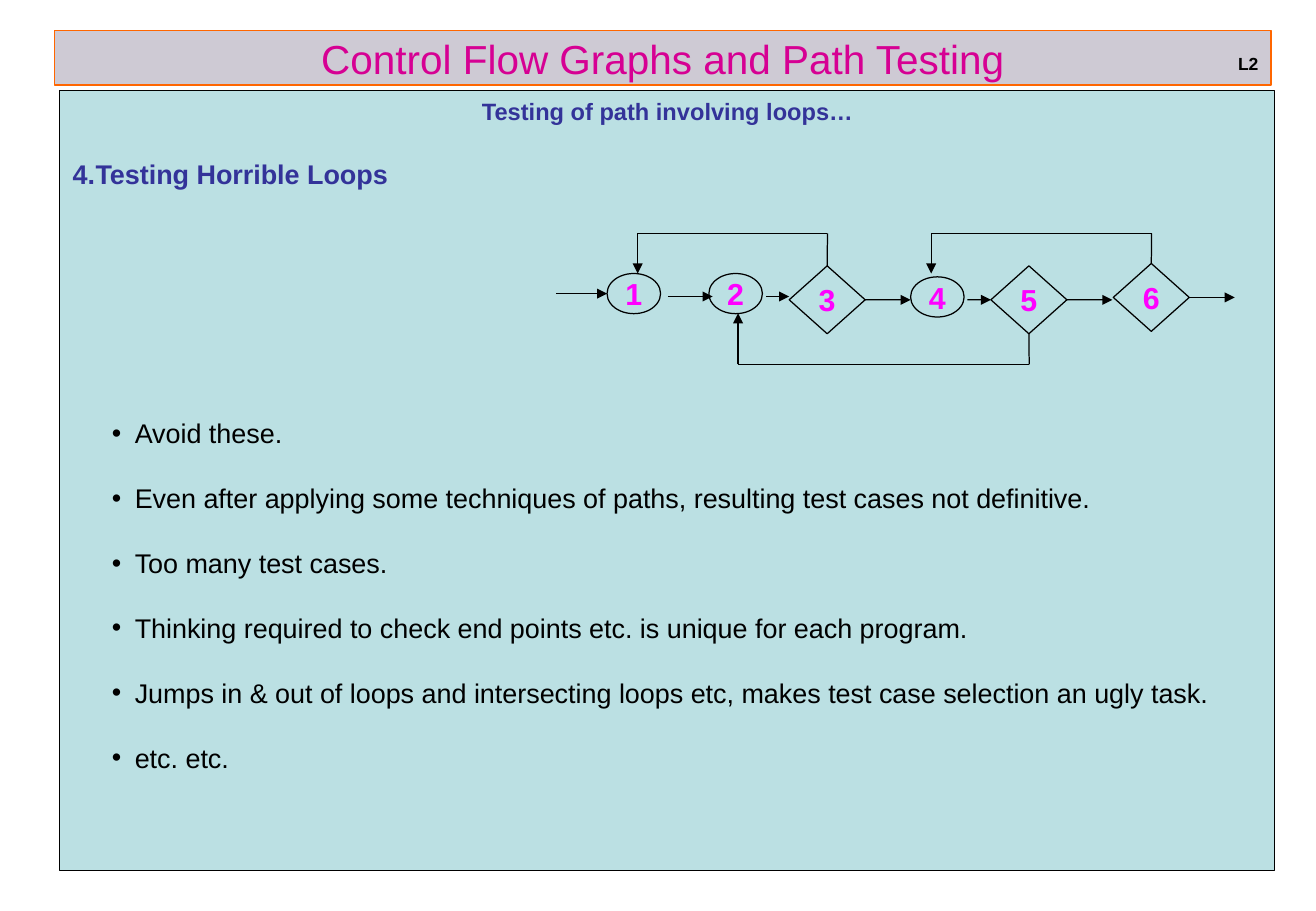
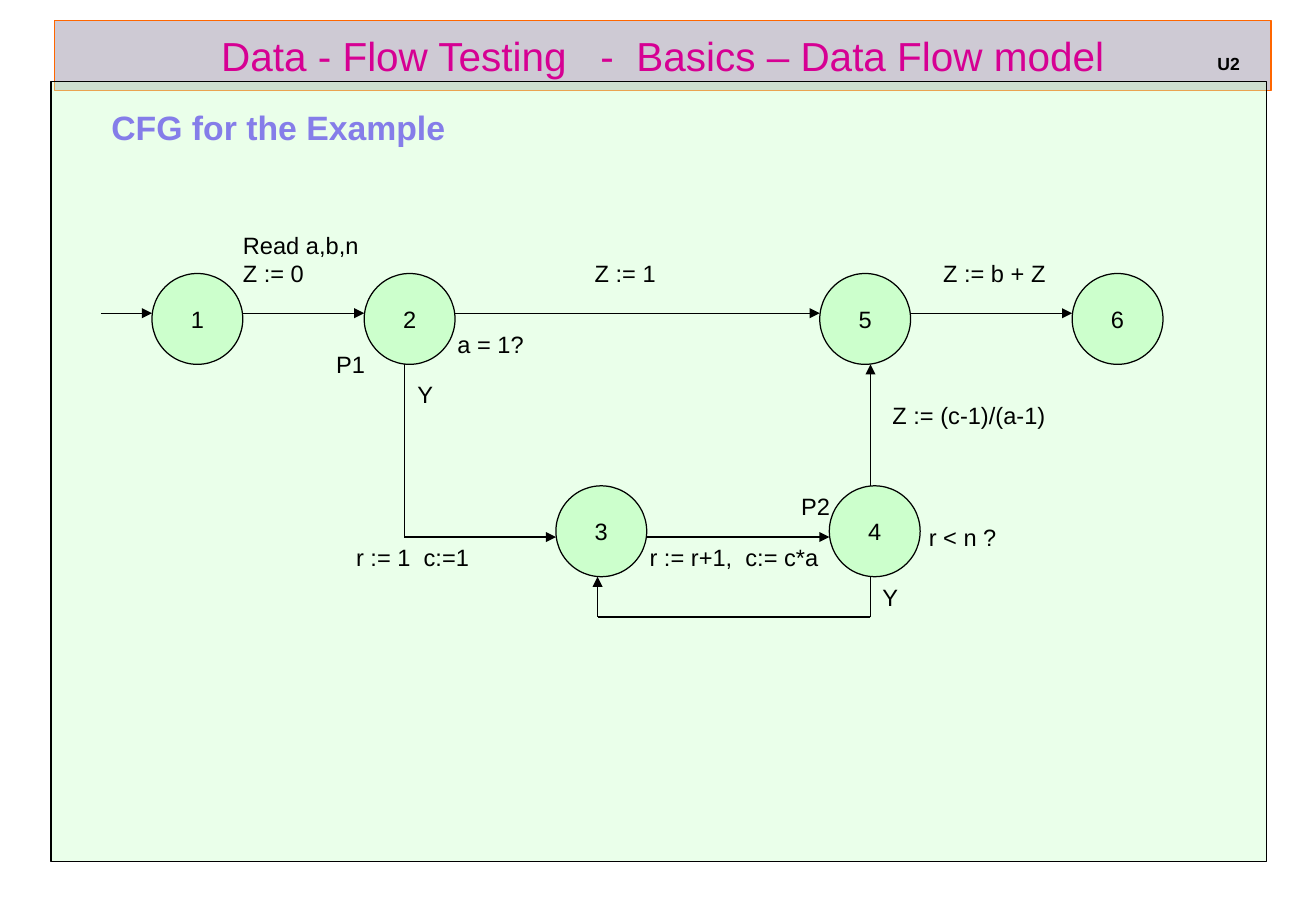
from lxml import etree
from pptx import Presentation
from pptx.dml.color import RGBColor
from pptx.enum.shapes import MSO_CONNECTOR, MSO_SHAPE
from pptx.enum.text import MSO_ANCHOR, MSO_AUTO_SIZE, PP_ALIGN
from pptx.oxml.ns import qn
from pptx.util import Cm, Pt

STRAIGHT = MSO_CONNECTOR.STRAIGHT
RECT, OVAL, DIAMOND = MSO_SHAPE.RECTANGLE, MSO_SHAPE.OVAL, MSO_SHAPE.DIAMOND
CENTER, LEFT = PP_ALIGN.CENTER, PP_ALIGN.LEFT
MIDDLE = MSO_ANCHOR.MIDDLE
NO_FIT = MSO_AUTO_SIZE.NONE

FONT = "Arial"
COLORS = {
    "black": "000000", "title": "D60093", "band": "CECAD4", "band_line": "FF6600",
    "blue_panel": "BBE0E3", "green": "CCFFCC", "heading": "333399",
    "subtitle": "857DE9", "loop_number": "FF00FF",
}

# All boxes are (left, top, width, height) and all points (x, y), in cm.
LOOPS = {
    "title": "Control Flow Graphs and Path Testing",
    "band": (1.14, 0.64, 25.45, 1.14),
    "panel": (1.24, 1.9, 25.43, 16.31), "panel_color": "blue_panel", "alpha": 100,
    "tag": "L2", "tag_box": (25.65, 0.64, 1.3, 1.04),
}
LOOPS_HEADING = "Testing of path involving loops…"
LOOPS_TOPIC = "Testing Horrible Loops"
LOOPS_BULLETS = [
    "Avoid these.",
    "Even after applying some techniques of paths, resulting test cases not definitive.",
    "Too many test cases.",
    "Thinking required to check end points etc. is unique for each program.",
    "Jumps in & out of loops and intersecting loops etc, makes test case selection an ugly task.",
    "etc. etc.",
]
LOOP_SIZES = {OVAL: (1.12, 0.84), DIAMOND: (1.59, 1.42)}
LOOP_NODES = [
    ("1", OVAL, 12.7, 5.72), ("2", OVAL, 14.83, 5.72), ("3", DIAMOND, 16.51, 5.56),
    ("4", OVAL, 19.05, 5.79), ("5", DIAMOND, 20.73, 5.56), ("6", DIAMOND, 23.29, 5.51),
]
LOOP_ROUTES = [
    [(11.63, 6.14), (12.7, 6.14)],
    [(13.97, 6.2), (14.91, 6.2)],
    [(16.03, 6.2), (16.51, 6.2)],
    [(18.1, 6.27), (19.05, 6.27)],
    [(20.24, 6.27), (20.73, 6.27)],
    [(22.32, 6.27), (23.27, 6.27)],
    [(24.88, 6.22), (25.83, 6.22)],
    [(17.31, 5.56), (17.31, 4.88), (13.34, 4.88), (13.34, 5.72)],
    [(24.09, 5.51), (24.09, 4.88), (19.48, 4.88), (19.48, 5.72)],
    [(21.53, 6.98), (21.53, 7.62), (15.44, 7.62), (15.44, 6.55)],
]

DATA_FLOW = {
    "title": "Data - Flow Testing   -  Basics – Data Flow model",
    "band": (1.14, 0.43, 25.45, 1.47),
    "panel": (1.07, 1.7, 25.43, 16.31), "panel_color": "green", "alpha": 40,
    "tag": "U2", "tag_box": (25.22, 0.64, 1.3, 1.04),
}
FLOW_HEADING = "CFG for the Example"
FLOW_SIZES = {OVAL: (1.9, 1.9)}
FLOW_NODES = [
    ("1", OVAL, 3.18, 5.72), ("2", OVAL, 7.62, 5.72), ("3", OVAL, 11.63, 10.16),
    ("4", OVAL, 17.35, 10.16), ("5", OVAL, 17.15, 5.72), ("6", OVAL, 22.43, 5.72),
]
FLOW_ROUTES = [
    [(2.11, 6.55), (3.18, 6.55)],
    [(5.08, 6.55), (7.62, 6.55)],
    [(9.52, 6.55), (17.15, 6.55)],
    [(19.05, 6.55), (22.43, 6.55)],
    [(8.46, 7.62), (8.46, 11.23), (11.63, 11.23)],
    [(13.53, 11.23), (17.35, 11.23)],
    [(18.21, 10.16), (18.21, 7.62)],
    [(18.21, 12.06), (18.21, 12.9), (12.5, 12.9), (12.5, 12.06)],
]
FLOW_LABELS = [
    (["Read a,b,n", "Z := 0"], 4.83, 4.7, 3.4),
    (["Z := 1"], 12.19, 5.28, 2.2),
    (["Z := b + Z"], 19.48, 5.28, 3.1),
    (["Z := (c-1)/(a-1)"], 18.42, 8.26, 4.2),
    (["a = 1?"], 9.32, 6.78, 2.4),
    (["P1"], 6.78, 7.2, 1.5),
    (["r < n ?"], 19.18, 10.8, 2.4),
    (["P2"], 16.51, 10.16, 1.5),
    (["Y"], 18.21, 12.06, 1.2),
    (["r := 1  c:=1"], 7.2, 11.23, 3.3),
    (["r := r+1,  c:= c*a"], 13.34, 11.23, 4.5),
    (["Y"], 8.48, 7.82, 1.2),
]


def rgb(name):
    return RGBColor.from_string(COLORS[name])


def cm(values):
    return [Cm(v) for v in values]


def write(p, text, size, color="black", bold=False, align=LEFT):
    p.text = text
    p.alignment = align
    for r in p.runs:
        r.font.name, r.font.size, r.font.bold = FONT, Pt(size), bold
        r.font.color.rgb = rgb(color)


def paint(sp, fill, line="black"):
    sp.shadow.inherit = False
    sp.fill.solid()
    sp.fill.fore_color.rgb = rgb(fill)
    sp.line.color.rgb = rgb(line)
    sp.line.width = Pt(0.75)


def add_text(slide, box, lines, size, color="black", bold=False):
    """Add a text box of one style and return its paragraphs."""
    tf = slide.shapes.add_textbox(*cm(box)).text_frame
    tf.word_wrap = True
    tf.auto_size = NO_FIT
    for i, line in enumerate(lines):
        p = tf.add_paragraph() if i else tf.paragraphs[0]
        write(p, line, size, color, bold)
    return tf.paragraphs


def add_slide(prs, look):
    """Add the title band, the panel and the tag that every slide has."""
    slide = prs.slides.add_slide(prs.slide_layouts[5])
    title = slide.shapes.title
    title.left, title.top, title.width, title.height = cm(look["band"])
    title.fill.solid()
    title.fill.fore_color.rgb = rgb("band")
    title.line.color.rgb = rgb("band_line")
    title.line.width = Pt(0.75)
    tf = title.text_frame
    tf.auto_size = NO_FIT
    tf.vertical_anchor = MIDDLE
    write(tf.paragraphs[0], look["title"], 24, "title", align=CENTER)

    panel = slide.shapes.add_shape(RECT, *cm(look["panel"]))
    paint(panel, look["panel_color"])
    if look["alpha"] < 100:
        color = panel._element.spPr.find(qn("a:solidFill"))[0]
        etree.SubElement(color, qn("a:alpha"), val=str(look["alpha"] * 1000))

    tag = add_text(slide, look["tag_box"], [look["tag"]], 18, bold=True)[0]
    tag.runs[0]._r.get_or_add_rPr().set("baseline", "-12000")
    return slide


def add_nodes(slide, nodes, sizes, fill, size, color, bold=False):
    shapes = []
    for text, kind, x, y in nodes:
        sp = slide.shapes.add_shape(kind, *cm((x, y, *sizes[kind])))
        paint(sp, fill)
        tf = sp.text_frame
        tf.word_wrap = False
        tf.vertical_anchor = MIDDLE
        write(tf.paragraphs[0], text, size, color, bold, CENTER)
        shapes.append(sp)
    return shapes


def join(connect, point, diamonds):
    """Join a line's end to the diamond corner that lies at the point, if any."""
    for sp in diamonds:
        mid_x, mid_y = sp.left + sp.width // 2, sp.top + sp.height // 2
        corners = [(mid_x, sp.top), (sp.left, mid_y),
                   (mid_x, sp.top + sp.height), (sp.left + sp.width, mid_y)]
        for i, corner in enumerate(corners):
            if all(abs(a - b) < Cm(0.03) for a, b in zip(corner, cm(point))):
                connect(sp, i)


def add_routes(slide, routes, diamonds=()):
    """Draw each route as straight lines with an arrowhead at its last point."""
    for route in routes:
        for start, end in zip(route, route[1:]):
            line = slide.shapes.add_connector(STRAIGHT, *cm(start + end))
            line.line.color.rgb = rgb("black")
            line.line.width = Pt(0.75)
            spPr = line._element.spPr
            if end == route[-1]:
                etree.SubElement(spPr.find(qn("a:ln")), qn("a:tailEnd"), type="triangle")
            etree.SubElement(spPr, qn("a:effectLst"))
            join(line.begin_connect, start, diamonds)
            join(line.end_connect, end, diamonds)


def add_bullet(p, color, margin, tag, **attrs):
    """Give a paragraph a hanging bullet or number; margin in cm."""
    pPr = p._p.get_or_add_pPr()
    pPr.set("marL", str(Cm(margin)))
    pPr.set("indent", str(-Cm(0.48)))
    bu_color = etree.SubElement(pPr, qn("a:buClr"))
    etree.SubElement(bu_color, qn("a:srgbClr"), val=COLORS[color])
    etree.SubElement(pPr, qn("a:buFont"), typeface=FONT)
    etree.SubElement(pPr, qn(tag), **attrs)


def build_loops(prs):
    slide = add_slide(prs, LOOPS)
    tf = slide.shapes.add_textbox(*cm((1.27, 1.9, 25.4, 14.4))).text_frame
    tf.word_wrap = True
    write(tf.paragraphs[0], LOOPS_HEADING, 14, "heading", True, CENTER)

    p = tf.add_paragraph()
    add_bullet(p, "heading", 0.48, "a:buAutoNum", type="arabicPeriod", startAt="4")
    write(p, LOOPS_TOPIC, 16, "heading", True)
    p.space_before = Pt(19.3)

    for i, text in enumerate(LOOPS_BULLETS):
        p = tf.add_paragraph()
        add_bullet(p, "black", 1.3, "a:buChar", char="•")
        write(p, text, 16)
        p.space_before = Pt(19.25 if i else 134.5)

    nodes = add_nodes(slide, LOOP_NODES, LOOP_SIZES, "blue_panel", 18, "loop_number", True)
    diamonds = [sp for sp in nodes if sp.auto_shape_type == DIAMOND]
    add_routes(slide, LOOP_ROUTES, diamonds)


def build_data_flow(prs):
    slide = add_slide(prs, DATA_FLOW)
    add_text(slide, (2.08, 2.11, 8.5, 1.12), [FLOW_HEADING], 20, "subtitle", True)
    add_nodes(slide, FLOW_NODES, FLOW_SIZES, "green", 14, "black")
    add_routes(slide, FLOW_ROUTES)
    for lines, x, y, width in FLOW_LABELS:
        add_text(slide, (x, y, width, 0.28 + 0.58 * len(lines)), lines, 14)


def main():
    prs = Presentation()
    prs.slide_width, prs.slide_height = Cm(27.53), Cm(19.05)
    build_loops(prs)
    build_data_flow(prs)
    prs.save("out.pptx")


if __name__ == "__main__":
    main()
